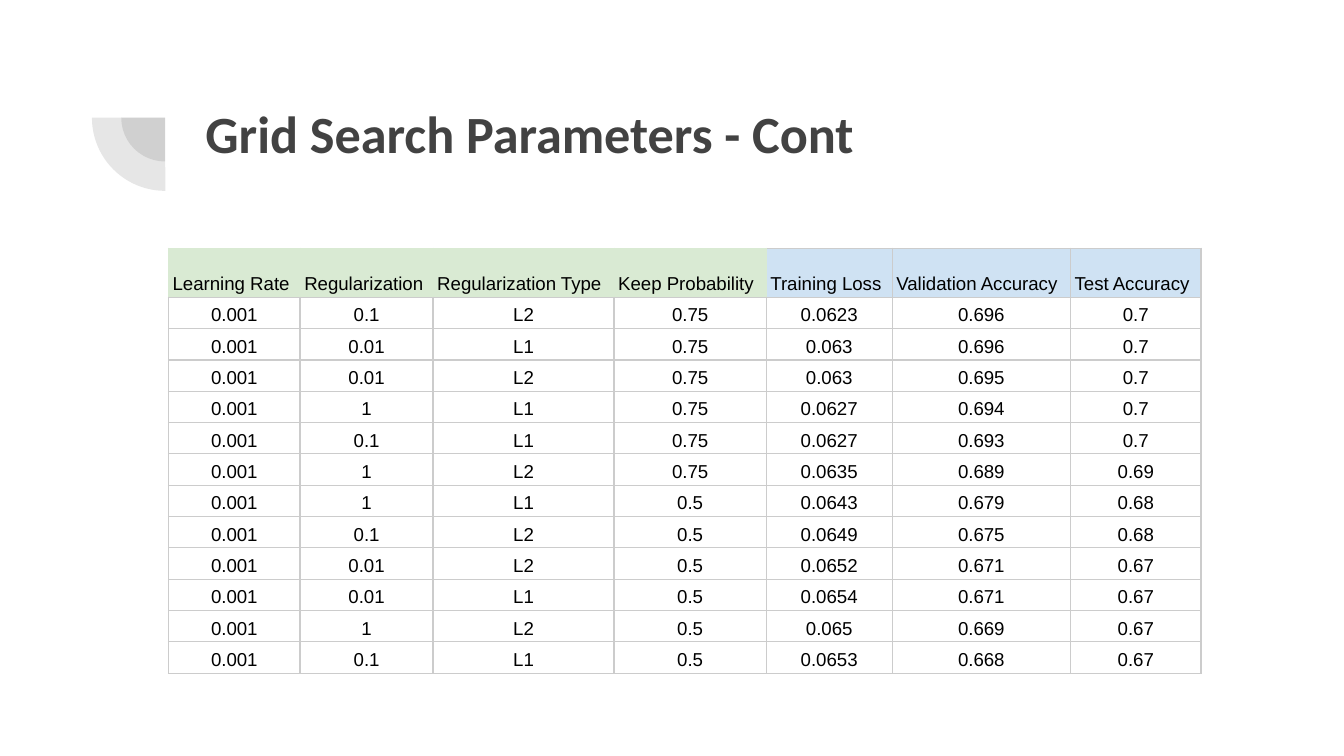
from lxml import etree
from pptx import Presentation
from pptx import util as u
from pptx.dml.color import RGBColor
from pptx.enum import shapes, text
from pptx.oxml import ns

Pt = u.Pt
COLORS = {"dark": "424242", "black": "000000", "params": "D9EAD3",
          "results": "CFE2F3", "grid": "CCCCCC"}
HEADERS = ["Learning Rate", "Regularization", "Regularization Type",
           "Keep Probability", "Training Loss", "Validation Accuracy",
           "Test Accuracy"]
PARAM_COLS = 4
RATE = "0.001"
RUNS = [
    ("0.1", "L2", "0.75", "0.0623", "0.696", "0.7"),
    ("0.01", "L1", "0.75", "0.063", "0.696", "0.7"),
    ("0.01", "L2", "0.75", "0.063", "0.695", "0.7"),
    ("1", "L1", "0.75", "0.0627", "0.694", "0.7"),
    ("0.1", "L1", "0.75", "0.0627", "0.693", "0.7"),
    ("1", "L2", "0.75", "0.0635", "0.689", "0.69"),
    ("1", "L1", "0.5", "0.0643", "0.679", "0.68"),
    ("0.1", "L2", "0.5", "0.0649", "0.675", "0.68"),
    ("0.01", "L2", "0.5", "0.0652", "0.671", "0.67"),
    ("0.01", "L1", "0.5", "0.0654", "0.671", "0.67"),
    ("1", "L2", "0.5", "0.065", "0.669", "0.67"),
    ("0.1", "L1", "0.5", "0.0653", "0.668", "0.67"),
]
COL_WIDTHS = [70.5, 71.25, 97, 81.5, 67.5, 95.5, 70]
HEADER_H, ROW_H = 26.25, 15.86
CELL_FORMAT = {"margin_left": Pt(2.25), "margin_right": Pt(2.25),
               "margin_top": Pt(1.5), "margin_bottom": Pt(1.5),
               "vertical_anchor": text.MSO_ANCHOR.BOTTOM}


def add_run(p, words, color, **fmt):
    r = p.add_run()
    r.text = words
    r.font.color.rgb = RGBColor.from_string(COLORS[color])
    for name, value in fmt.items():
        setattr(r.font, name, value)


def set_borders(cell, sides):
    """Draw 0.75 pt cell edges; sides maps L, R, T, B to colour names."""
    tc_pr = cell._tc.get_or_add_tcPr()
    for i, side in enumerate("LRTB"):
        ln = etree.Element(ns.qn(f"a:ln{side}"), w=str(Pt(0.75)))
        fill = etree.SubElement(ln, ns.qn("a:solidFill"))
        etree.SubElement(fill, ns.qn("a:srgbClr"), val=COLORS[sides[side]])
        tc_pr.insert(i, ln)


prs = Presentation()
prs.slide_width, prs.slide_height = Pt(720), Pt(405)
s = prs.slides.add_slide(prs.slide_layouts[6])

# Two translucent quarter discs around one centre
CENTER_X, CENTER_Y = 88.5, 63
for radius in (23.5, 39.25):
    sp = s.shapes.add_shape(shapes.MSO_SHAPE.PIE, Pt(CENTER_X - radius),
                            Pt(CENTER_Y - radius), Pt(2 * radius), Pt(2 * radius))
    sp.adjustments[0], sp.adjustments[1] = 107.93, 162
    sp.rotation = 270
    sp.shadow.inherit = False
    sp.line.fill.background()
    sp.fill.solid()
    sp.fill.fore_color.rgb = RGBColor.from_string(COLORS["dark"])
    color = sp._element.spPr.find(".//" + ns.qn("a:srgbClr"))
    etree.SubElement(color, ns.qn("a:alpha"), val="13000")

title = s.shapes.add_textbox(Pt(103), Pt(46.8), Pt(553.5), Pt(78.5))
tf = title.text_frame
for name in ("left", "right", "top", "bottom"):
    setattr(tf, f"margin_{name}", Pt(7.2))
tf.word_wrap = True
add_run(tf.paragraphs[0], "Grid Search Parameters - Cont", "dark",
        name="Calibri", size=Pt(28), bold=True)

rows = [HEADERS] + [(RATE,) + run for run in RUNS]
frame = s.shapes.add_table(len(rows), len(HEADERS), Pt(90.25), Pt(133),
                           Pt(sum(COL_WIDTHS)), Pt(HEADER_H + ROW_H * len(RUNS)))
table = frame.table
table.first_row = table.horz_banding = False
for col, width in zip(table.columns, COL_WIDTHS):
    col.width = Pt(width)

for i, values in enumerate(rows):
    table.rows[i].height = Pt(ROW_H if i else HEADER_H)
    for j, value in enumerate(values):
        cell = table.cell(i, j)
        for name, setting in CELL_FORMAT.items():
            setattr(cell, name, setting)
        sides = dict.fromkeys("LRTB", "grid")
        if i == 0:
            is_param = j < PARAM_COLS
            cell.fill.solid()
            cell.fill.fore_color.rgb = RGBColor.from_string(
                COLORS["params" if is_param else "results"])
            if is_param:
                sides.update(dict.fromkeys("LRT", "params"))
            elif j == PARAM_COLS:
                sides["L"] = "params"
        else:
            cell.fill.background()
        set_borders(cell, sides)
        p = cell.text_frame.paragraphs[0]
        p.line_spacing = 1.15
        p.alignment = text.PP_ALIGN.CENTER if i else text.PP_ALIGN.LEFT
        add_run(p, value, "black", name="Arial", size=Pt(10))

prs.save("out.pptx")
